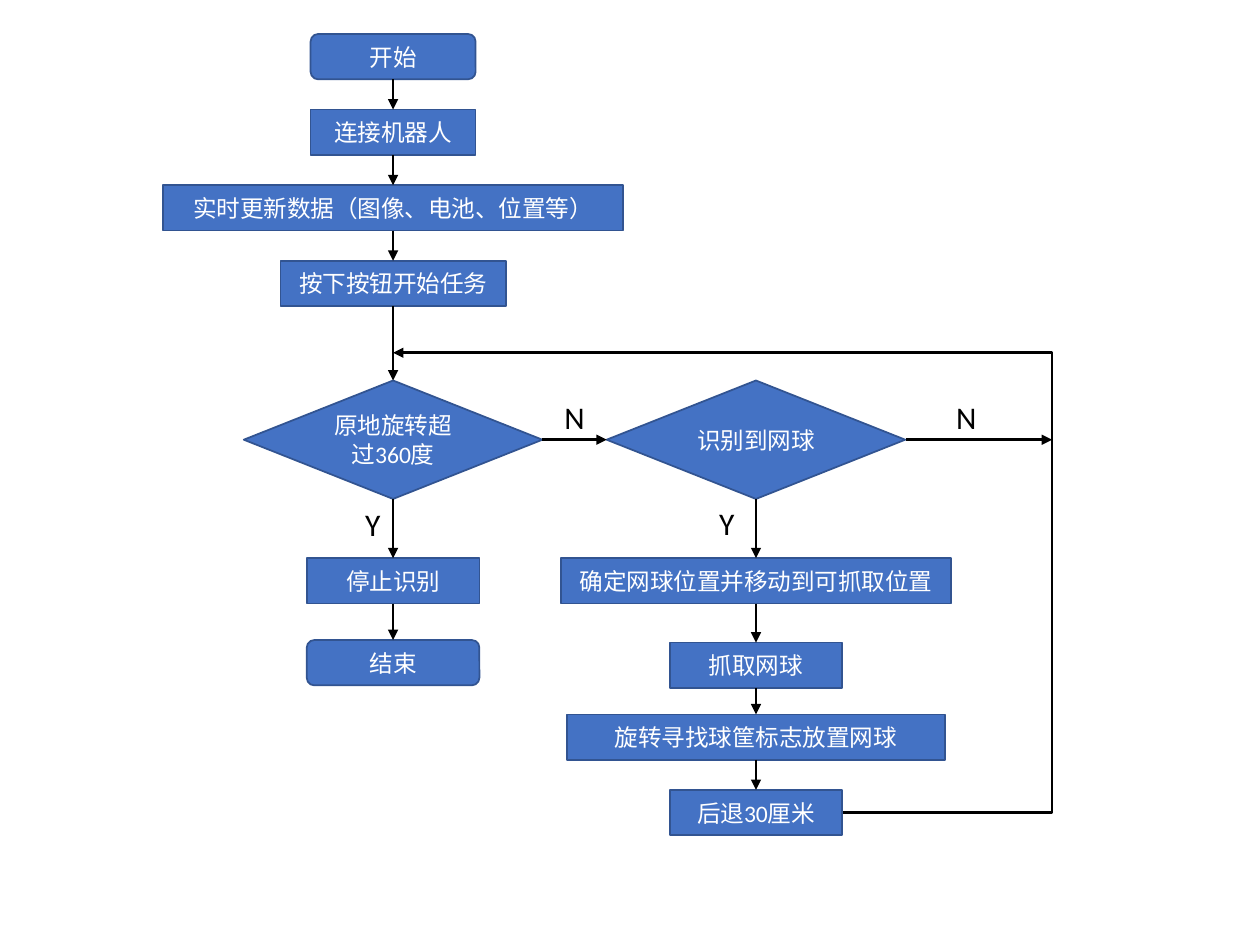
from dataclasses import dataclass

from lxml import etree
from pptx import Presentation
from pptx import util as u
from pptx.dml.color import RGBColor
from pptx.enum import shapes, text
from pptx.oxml import ns


@dataclass
class Theme:
    fill: str = "4472C4"
    edge: str = "325491"
    light: str = "FFFFFF"
    dark: str = "000000"
    font: str = "Calibri"
    body: float = 13.5
    label: float = 18
    thin: float = 1
    line: float = 1.5


class Chart:
    """Draws flowchart parts on one slide in one style."""

    def __init__(self, slide, theme):
        self.slide = slide
        self.theme = theme

    def put(self, frame, words, size, color):
        frame.word_wrap = True
        run = frame.paragraphs[0].add_run()
        run.text = words
        run.font.name = self.theme.font
        run.font.size = u.Pt(size)
        run.font.color.rgb = RGBColor.from_string(color)

    def node(self, kind, words, mid, top, wide, high=0.36):
        box = self.slide.shapes.add_shape(
            kind, u.Inches(mid - wide / 2), u.Inches(top), u.Inches(wide), u.Inches(high))
        box.shadow.inherit = False
        box.fill.solid()
        box.fill.fore_color.rgb = RGBColor.from_string(self.theme.fill)
        box.line.color.rgb = RGBColor.from_string(self.theme.edge)
        box.line.width = u.Pt(self.theme.thin)
        frame = box.text_frame
        frame.vertical_anchor = text.MSO_ANCHOR.MIDDLE
        frame.paragraphs[0].alignment = text.PP_ALIGN.CENTER
        self.put(frame, words, self.theme.body, self.theme.light)
        return box

    def label(self, words, left, top):
        box = self.slide.shapes.add_textbox(
            u.Inches(left), u.Inches(top), u.Inches(0.35), u.Inches(0.4))
        self.put(box.text_frame, words, self.theme.label, self.theme.dark)

    def arrow(self, kind, x1, y1, x2, y2):
        line = self.slide.shapes.add_connector(
            kind, u.Inches(x1), u.Inches(y1), u.Inches(x2), u.Inches(y2))
        line.line.color.rgb = RGBColor.from_string(self.theme.dark)
        line.line.width = u.Pt(self.theme.line)
        props = line._element.spPr
        etree.SubElement(props.find(ns.qn("a:ln")), ns.qn("a:tailEnd"), type="triangle")
        etree.SubElement(props, ns.qn("a:effectLst"))
        return line

    def link(self, start, end, out=2, into=0):
        line = self.arrow(shapes.MSO_CONNECTOR.STRAIGHT, 0, 0, 1, 1)
        line.begin_connect(start, out)
        line.end_connect(end, into)

    def chain(self, nodes):
        for start, end in zip(nodes, nodes[1:]):
            self.link(start, end)

    def loop(self, x1, y1, x2, y2, turn):
        line = self.arrow(shapes.MSO_CONNECTOR.ELBOW, x1, y1, x2, y2)
        geom = line._element.spPr.find(ns.qn("a:prstGeom"))
        guides = geom.find(ns.qn("a:avLst"))
        if guides is None:
            guides = etree.SubElement(geom, ns.qn("a:avLst"))
        ratio = round((turn - x1) / (x2 - x1) * 100000)
        etree.SubElement(guides, ns.qn("a:gd"), name="adj1", fmla=f"val {ratio}")


deck = Presentation()
deck.slide_width, deck.slide_height = u.Inches(10), u.Inches(7.5)
chart = Chart(deck.slides.add_slide(deck.slide_layouts[6]), Theme())

STEP = shapes.MSO_SHAPE.FLOWCHART_PROCESS
ENDS = shapes.MSO_SHAPE.FLOWCHART_ALTERNATE_PROCESS
TEST = shapes.MSO_SHAPE.FLOWCHART_DECISION
LEFT, RIGHT, BACK = 3.12, 6, 8.35

main = [chart.node(kind, words, LEFT, 0.27 + 0.6 * row, wide)
        for row, (kind, words, wide) in enumerate([
            (ENDS, "开始", 1.31),
            (STEP, "连接机器人", 1.31),
            (STEP, "实时更新数据（图像、电池、位置等）", 3.65),
            (STEP, "按下按钮开始任务", 1.79)])]
turned = chart.node(TEST, "原地旋转超过360度", LEFT, 3.02, 2.37, 0.94)
found = chart.node(TEST, "识别到网球", RIGHT, 3.02, 2.37, 0.94)
stop = [chart.node(kind, words, LEFT, top, 1.37) for kind, words, top in [
    (STEP, "停止识别", 4.43),
    (ENDS, "结束", 5.08)]]
grab = [chart.node(STEP, words, RIGHT, top, wide) for words, top, wide in [
    ("确定网球位置并移动到可抓取位置", 4.43, 3.1),
    ("抓取网球", 5.1, 1.37),
    ("旋转寻找球筐标志放置网球", 5.67, 3),
    ("后退30厘米", 6.27, 1.37)]]

chart.chain([*main, turned, *stop])
chart.chain([found, *grab])
chart.link(turned, found, 3, 1)
chart.arrow(shapes.MSO_CONNECTOR.STRAIGHT, 7.19, 3.49, BACK, 3.49)
chart.loop(6.69, 6.45, LEFT, 2.8, BACK)

for words, left, top in [("Y", 2.8, 3.96), ("Y", 5.61, 3.95),
                         ("N", 4.38, 3.11), ("N", 7.49, 3.11)]:
    chart.label(words, left, top)

deck.save("out.pptx")
